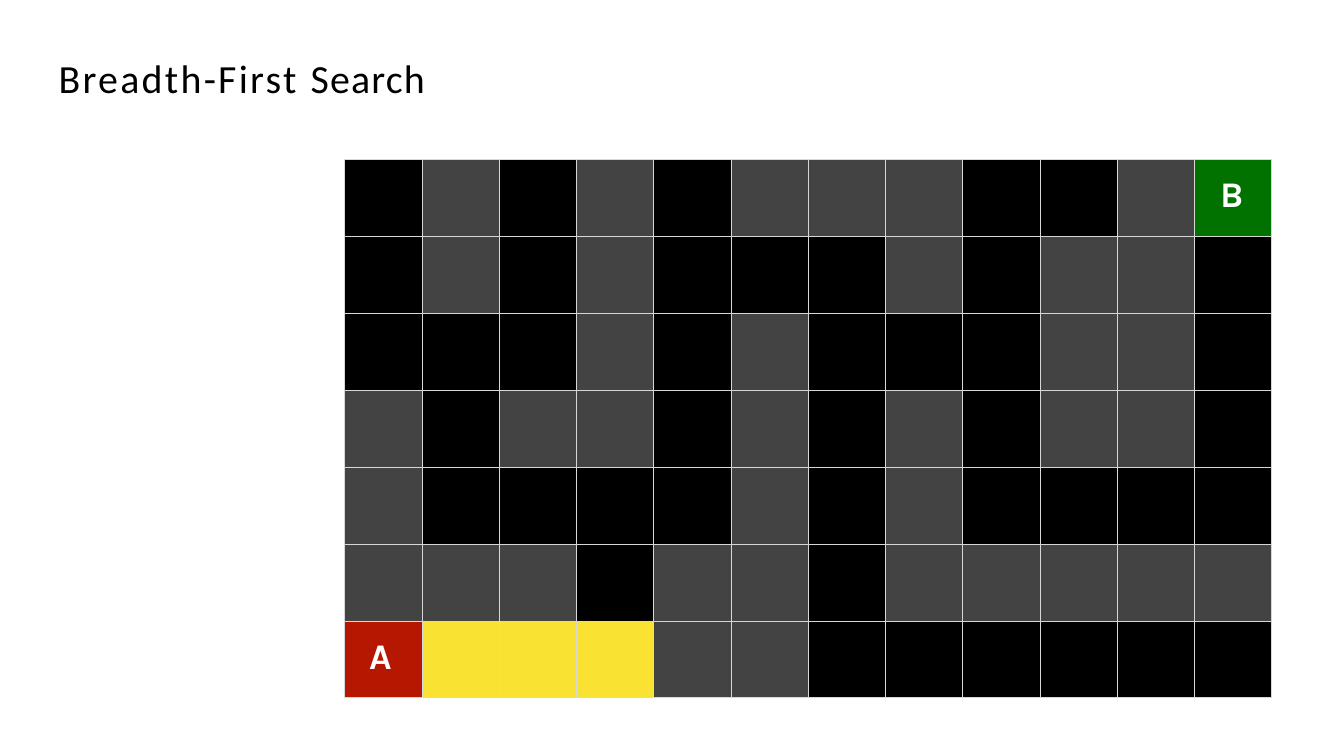
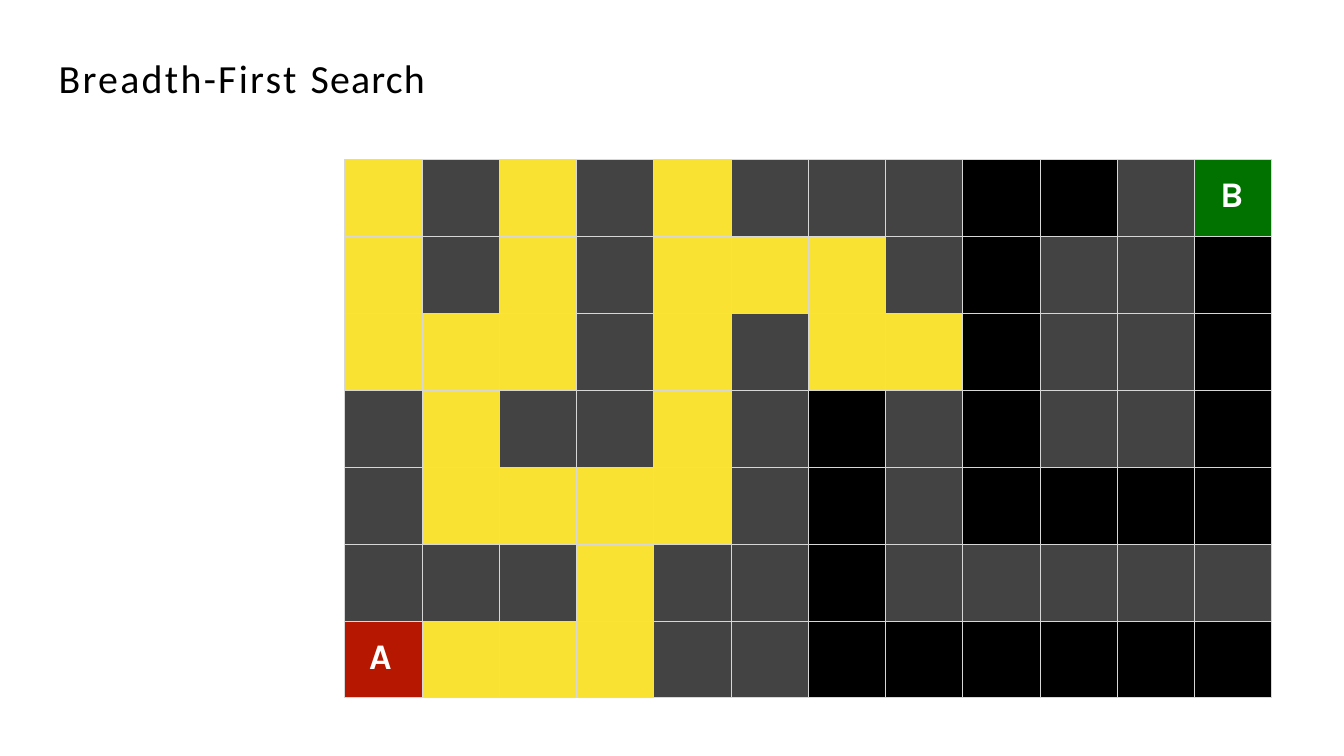
"""Two steps of a breadth-first search through a maze."""
from collections import deque

from lxml.etree import SubElement
from pptx import Presentation
from pptx.dml.color import RGBColor
from pptx.enum.text import MSO_ANCHOR, MSO_AUTO_SIZE
from pptx.oxml.ns import qn
from pptx.util import Inches, Pt

SLIDE_WIDTH, SLIDE_HEIGHT = Inches(21.99), Inches(12.37)
TITLE_BOX = (Inches(0.96), Inches(0.86), Inches(6.68), Inches(0.81))
MAZE_BOX = (Inches(5.64), Inches(2.61), Inches(15.17), Inches(8.81))

BLACK = RGBColor(0x00, 0x00, 0x00)
WHITE = RGBColor(0xFF, 0xFF, 0xFF)
WALL_GREY = RGBColor(0x43, 0x43, 0x43)
GRID_GREY = RGBColor(0xD6, 0xD7, 0xD6)
START_RED = RGBColor(0xB5, 0x17, 0x00)
GOAL_GREEN = RGBColor(0x01, 0x71, 0x00)
EXPLORED_YELLOW = RGBColor(0xFA, 0xE2, 0x32)

SQUARE_FILLS = {"#": WALL_GREY, ".": BLACK, "A": START_RED, "B": GOAL_GREEN}
LETTER_INDENTS = {"A": Inches(0.4), "B": Inches(0.42)}
TITLE_RUNS = [("Breadth-First ", 270), ("Search", 140)]
MAZE = [
    ".#.#.###..#B",
    ".#.#...#.##.",
    "...#.#...##.",
    "#.##.#.#.##.",
    "#....#.#....",
    "###.##.#####",
    "A...##......",
]
START = (6, 0)
MOVES = [(0, 1), (-1, 0), (0, -1), (1, 0)]
EXPLORED_COUNTS = [3, 24]


def search_order():
    """Return the open squares in the order in which the search reaches them."""
    reached, frontier = [START], deque([START])
    while frontier:
        row, column = frontier.popleft()
        for down, right in MOVES:
            square = (row + down, column + right)
            inside = 0 <= square[0] < len(MAZE) and 0 <= square[1] < len(MAZE[0])
            if inside and MAZE[square[0]][square[1]] != "#" and square not in reached:
                reached.append(square)
                frontier.append(square)
    return reached[1:]


def add_title(slide, box):
    """Write the slide title in the given box."""
    title = slide.shapes.add_textbox(*box).text_frame
    title.word_wrap = True
    title.auto_size = MSO_AUTO_SIZE.SHAPE_TO_FIT_TEXT
    title.vertical_anchor = MSO_ANCHOR.MIDDLE
    title.margin_left = title.margin_right = title.margin_bottom = 0
    title.margin_top = Inches(0.01)
    for words, spacing in TITLE_RUNS:
        run = title.paragraphs[0].add_run()
        run.text = words
        run.font.name = "Calibri"
        run.font.size = Pt(47)
        run.font.color.rgb = BLACK
        run.font._element.set("spc", str(spacing))


def outline_square(square):
    """Draw a thin grey line on each side of a table cell."""
    properties = square._tc.get_or_add_tcPr()
    for side in ("a:lnL", "a:lnR", "a:lnT", "a:lnB"):
        line = SubElement(properties, qn(side), w=str(Pt(1)))
        SubElement(SubElement(line, qn("a:solidFill")), qn("a:srgbClr"), val=str(GRID_GREY))


def add_letter(square, letter):
    """Write the start or goal letter in a square."""
    square.margin_left = LETTER_INDENTS[letter]
    square.margin_top = Inches(0.25)
    square.margin_right = square.margin_bottom = 0
    run = square.text_frame.paragraphs[0].add_run()
    run.text = letter
    run.font.name = "Karla"
    run.font.size = Pt(42.5)
    run.font.bold = True
    run.font.color.rgb = WHITE


def add_maze(slide, box, explored):
    """Fill the given box with the maze, marking the explored squares."""
    width, height = box[2:]
    maze = slide.shapes.add_table(len(MAZE), len(MAZE[0]), *box).table
    maze.first_row = maze.horz_banding = False
    for column in maze.columns:
        column.width = width // len(MAZE[0])
    for row in maze.rows:
        row.height = height // len(MAZE)
    for row_number, marks in enumerate(MAZE):
        for column_number, mark in enumerate(marks):
            square = maze.cell(row_number, column_number)
            outline_square(square)
            visited = (row_number, column_number) in explored
            square.fill.solid()
            square.fill.fore_color.rgb = EXPLORED_YELLOW if visited else SQUARE_FILLS[mark]
            if mark in LETTER_INDENTS:
                add_letter(square, mark)


def main():
    """Build one slide for each step of the search."""
    deck = Presentation()
    deck.slide_width, deck.slide_height = SLIDE_WIDTH, SLIDE_HEIGHT
    order = search_order()
    for count in EXPLORED_COUNTS:
        slide = deck.slides.add_slide(deck.slide_layouts[6])
        add_maze(slide, MAZE_BOX, order[:count])
        add_title(slide, TITLE_BOX)
    deck.save("out.pptx")


if __name__ == "__main__":
    main()
